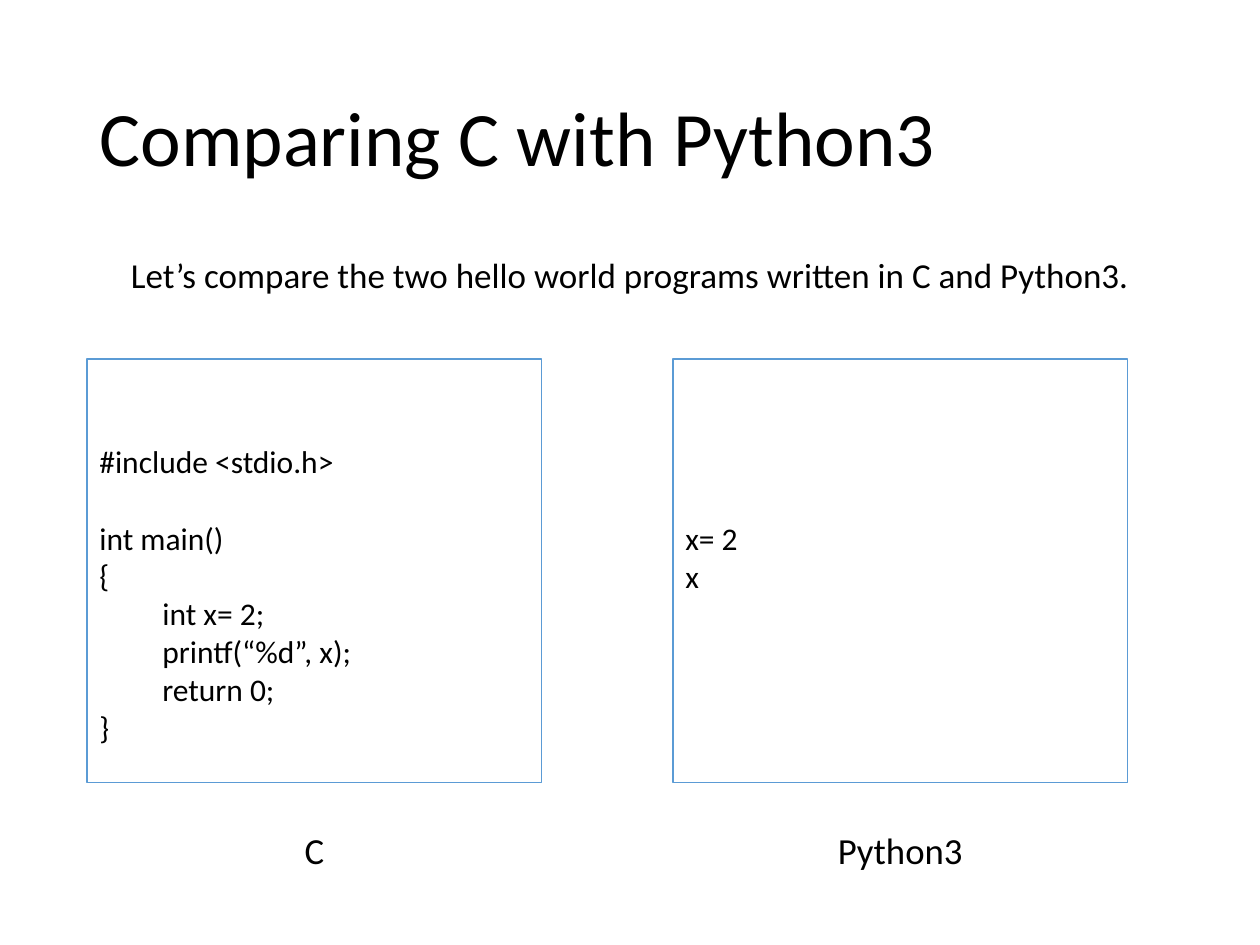
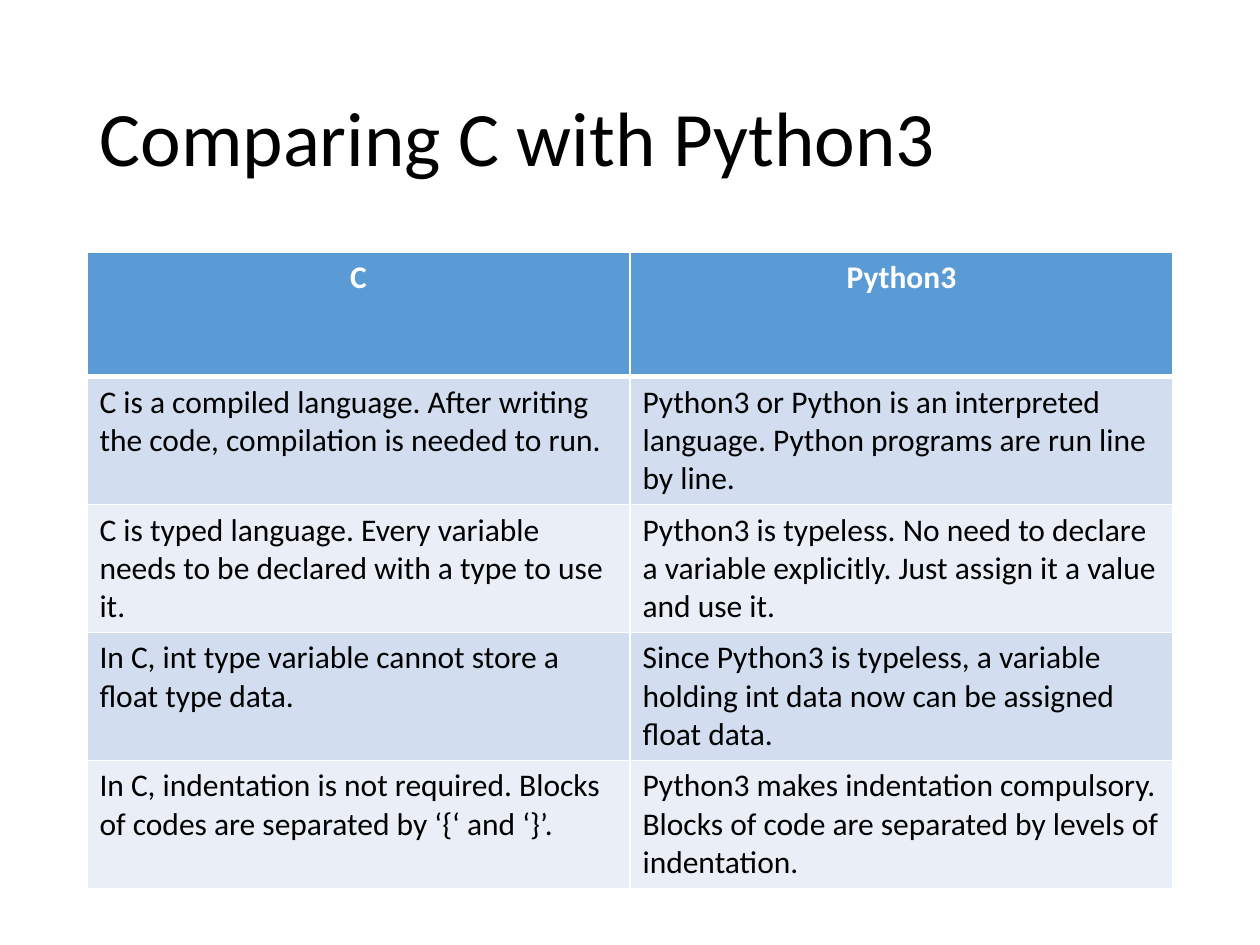
"""Build two slides that compare C with Python3."""
from lxml.etree import SubElement
from pptx import Presentation
from pptx.dml.color import RGBColor
from pptx.enum.shapes import MSO_SHAPE
from pptx.enum.text import MSO_ANCHOR, PP_ALIGN
from pptx.oxml.ns import qn
from pptx.util import Inches, Pt

BLACK = RGBColor(0x00, 0x00, 0x00)
WHITE = RGBColor(0xFF, 0xFF, 0xFF)
BLUE = RGBColor(0x5B, 0x9B, 0xD5)
BANDS = [RGBColor(0xD2, 0xDE, 0xEF), RGBColor(0xEA, 0xEF, 0xF7)]
FONT = "Calibri"

TITLE = "Comparing C with Python3"
INTRO = "Let’s compare the two hello world programs written in C and Python3."
PROGRAMS = [
    {"language": "C", "lines_above": 2, "code": [
        "#include <stdio.h>", "", "int main()", "{", "\tint x= 2;",
        "\tprintf(“%d”, x);", "\treturn 0;", "}"]},
    {"language": "Python3", "lines_above": 4, "code": ["x= 2", "x"]},
]
DIFFERENCES = [
    ("C", "Python3"),
    ("C is a compiled language. After writing the code, compilation is needed to run.",
     "Python3 or Python is an interpreted language. Python programs are run line by line."),
    ("C is typed language. Every variable needs to be declared with a type to use it.",
     "Python3 is typeless. No need to declare a variable explicitly. "
     "Just assign it a value and use it."),
    ("In C, int type variable cannot store a float type data.",
     "Since Python3 is typeless, a variable holding int data now can be assigned float data."),
    ("In C, indentation is not required. Blocks of codes are separated by ‘{‘ and ‘}’.",
     "Python3 makes indentation compulsory. "
     "Blocks of code are separated by levels of indentation."),
]

LEFT, WIDTH = 0.69, 8.62
BODY_TOP = 2
CODE_TOP, CODE_W, CODE_H, CODE_GAP = 2.85, 3.61, 3.36, 1.04
LABEL_TOP, LABEL_W, LABEL_H = 6.52, 1.2, 0.45
ROW_H = 0.99
CODE_SIZE, LINE_PT = 18, 22
INSET = 0.05


def place(sp, left, top, width, height):
    sp.left, sp.top = Inches(left), Inches(top)
    sp.width, sp.height = Inches(width), Inches(height)


def style(p, size, color=BLACK, align=PP_ALIGN.LEFT, bold=False):
    p.alignment = align
    for r in p.runs:
        r.font.name, r.font.size, r.font.bold = FONT, Pt(size), bold
        r.font.color.rgb = color


def add_slide(prs, layout):
    s = prs.slides.add_slide(prs.slide_layouts[layout])
    place(s.shapes.title, LEFT, 0.4, WIDTH, 1.45)
    tf = s.shapes.title.text_frame
    tf.text = TITLE
    tf.vertical_anchor = MSO_ANCHOR.MIDDLE
    p = tf.paragraphs[0]
    p.line_spacing = 0.9
    style(p, 44)
    return s


def add_intro(s):
    sp = s.placeholders[1]
    place(sp, LEFT, BODY_TOP, WIDTH, 0.46)
    sp.text_frame.text = INTRO
    p = sp.text_frame.paragraphs[0]
    p.line_spacing, p.space_before = 0.9, Pt(0)
    style(p, 20, align=PP_ALIGN.CENTER)
    pPr = p._p.get_or_add_pPr()
    pPr.set("marL", "0")
    pPr.set("indent", "0")
    SubElement(pPr, qn("a:buNone"))


def add_code(s, left, program):
    sp = s.shapes.add_shape(MSO_SHAPE.RECTANGLE, Inches(left), Inches(CODE_TOP),
                            Inches(CODE_W), Inches(CODE_H))
    sp.shadow.inherit = False
    sp.fill.background()
    sp.line.color.rgb = BLUE
    sp.line.width = Pt(0.75)
    tf = sp.text_frame
    tf.word_wrap = True
    tf.vertical_anchor = MSO_ANCHOR.TOP
    tf.margin_top = Inches(INSET) + Pt(LINE_PT * program["lines_above"])
    p, gap = tf.paragraphs[0], 0
    for i, line in enumerate(program["code"]):
        if not line:
            gap += LINE_PT
            continue
        if i:
            p = tf.add_paragraph()
        p.text = line
        p.space_before = Pt(gap)
        style(p, CODE_SIZE)
        gap = 0


def add_label(s, left, text):
    sp = s.shapes.add_textbox(Inches(left + (CODE_W - LABEL_W) / 2), Inches(LABEL_TOP),
                              Inches(LABEL_W), Inches(LABEL_H))
    tf = sp.text_frame
    tf.word_wrap = True
    tf.text = text
    style(tf.paragraphs[0], 21, align=PP_ALIGN.CENTER)


def set_borders(cell, **widths):
    tcPr = cell._tc.get_or_add_tcPr()
    for side in "LRTB":
        ln = SubElement(tcPr, qn(f"a:ln{side}"), w=str(Pt(widths.get(side, 1))))
        fill = SubElement(ln, qn("a:solidFill"))
        SubElement(fill, qn("a:srgbClr"), val=str(WHITE))


def add_differences(s):
    rows, cols = len(DIFFERENCES), len(DIFFERENCES[0])
    table = s.shapes.add_table(rows, cols, Inches(LEFT), Inches(BODY_TOP),
                               Inches(WIDTH), Inches(ROW_H * rows)).table
    for i, texts in enumerate(DIFFERENCES):
        table.rows[i].height = Inches(ROW_H)
        for j, text in enumerate(texts):
            cell = table.cell(i, j)
            cell.text = text
            p = cell.text_frame.paragraphs[0]
            if i == 0:
                style(p, 18, WHITE, PP_ALIGN.CENTER, bold=True)
                set_borders(cell, B=3)
            else:
                style(p, 18)
                set_borders(cell, T=3 if i == 1 else 1)
            cell.fill.solid()
            cell.fill.fore_color.rgb = BANDS[(i - 1) % 2] if i else BLUE


def main():
    prs = Presentation()
    prs.slide_width, prs.slide_height = Inches(10), Inches(7.5)
    s = add_slide(prs, 1)
    add_intro(s)
    for i, program in enumerate(PROGRAMS):
        left = LEFT + i * (CODE_W + CODE_GAP)
        add_code(s, left, program)
        add_label(s, left, program["language"])
    add_differences(add_slide(prs, 5))
    prs.save("out.pptx")


if __name__ == "__main__":
    main()
